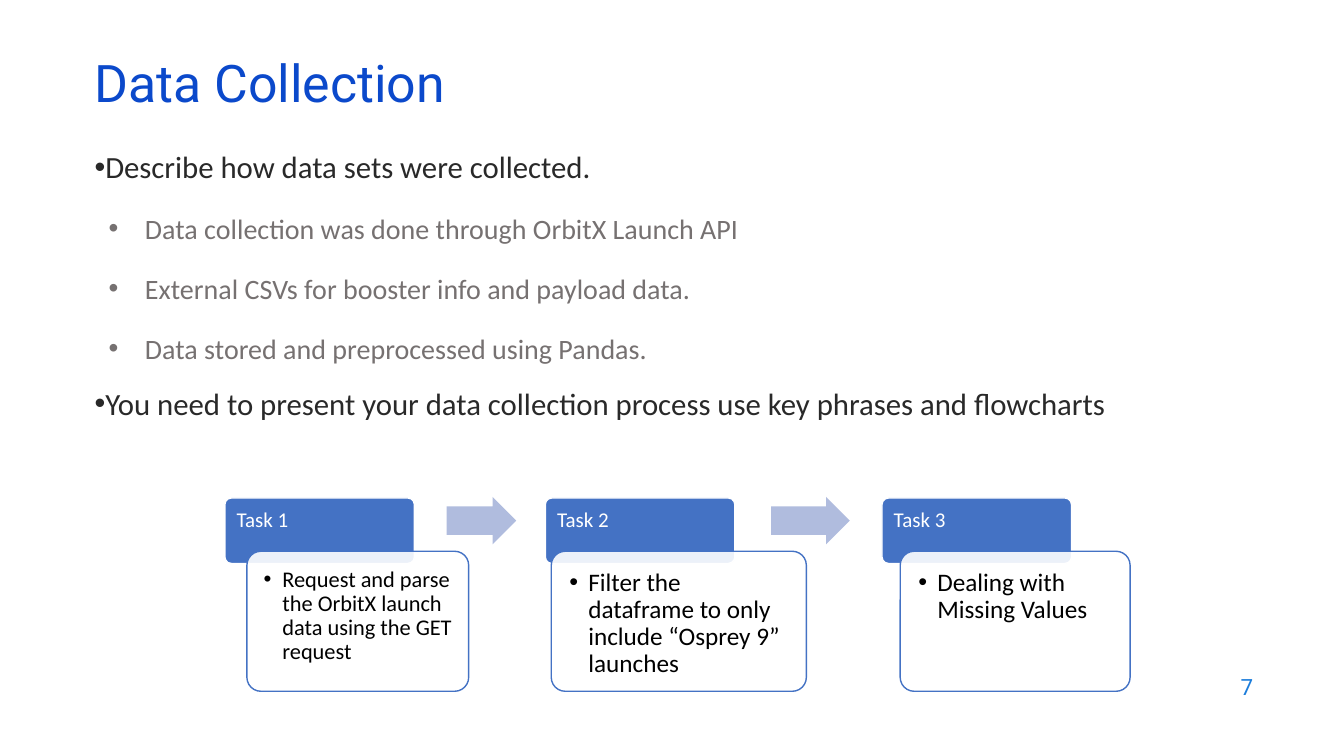
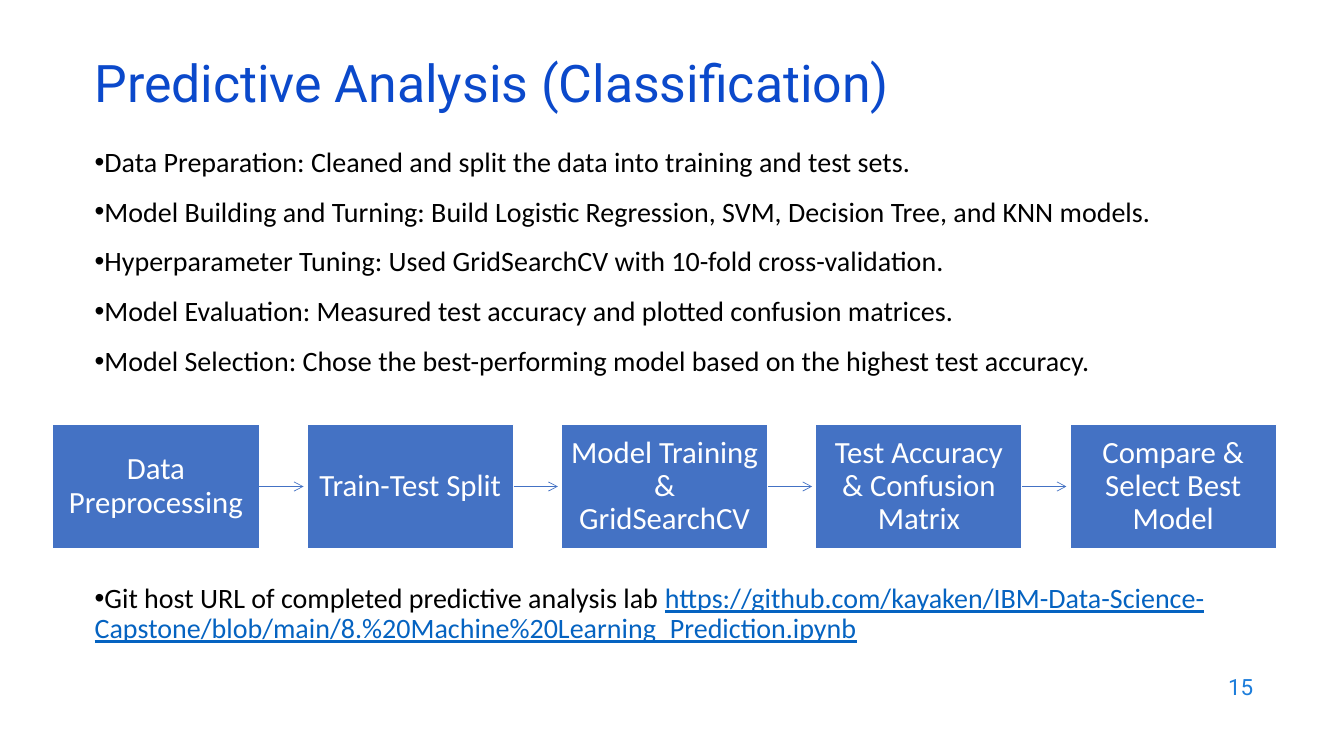
from dataclasses import dataclass

from lxml import etree
from pptx import Presentation
from pptx.dml.color import RGBColor
from pptx.enum.shapes import MSO_CONNECTOR, MSO_SHAPE
from pptx.enum.text import MSO_ANCHOR, PP_ALIGN
from pptx.oxml.ns import qn
from pptx.util import Pt

ROUNDED, RECTANGLE = MSO_SHAPE.ROUNDED_RECTANGLE, MSO_SHAPE.RECTANGLE
RIGHT_ARROW, STRAIGHT = MSO_SHAPE.RIGHT_ARROW, MSO_CONNECTOR.STRAIGHT
TOP, MIDDLE = MSO_ANCHOR.TOP, MSO_ANCHOR.MIDDLE
LEFT, CENTER, RIGHT = PP_ALIGN.LEFT, PP_ALIGN.CENTER, PP_ALIGN.RIGHT

TITLE_FONT, BODY_FONT = "Roboto", "Calibri"
TITLE_BLUE, PAGE_BLUE, LINK_BLUE = "0B49CB", "1C7DDB", "0563C1"
BOX_BLUE, ARROW_BLUE = "4472C4", "B0BCDE"
BLACK, DARK, GREY, WHITE = "000000", "292929", "767171", "FFFFFF"

BODY_LEFT, BODY_TOP = 60.5, 102.24
DEFAULT_INSETS = (7.2, 3.6, 7.2, 3.6)


@dataclass(frozen=True)
class Box:
    left: float
    top: float
    width: float
    height: float

    def lengths(self) -> tuple:
        return Pt(self.left), Pt(self.top), Pt(self.width), Pt(self.height)


@dataclass(frozen=True)
class Style:
    size: float
    color: str
    font: str = BODY_FONT
    spacing: float = 1.0
    before: float = 0
    align: PP_ALIGN = LEFT
    bullet: bool = False
    margin: float = 0
    hanging: float = 0


@dataclass(frozen=True)
class Line:
    text: str
    style: Style
    url: str = ""


@dataclass(frozen=True)
class Task:
    heading_left: float
    card_left: float
    card_width: float
    detail: str
    detail_size: float


@dataclass(frozen=True)
class BlockArrow:
    left: float
    width: float


TITLE = Style(37, TITLE_BLUE, TITLE_FONT, spacing=0.7)
PAGE_NUMBER = Style(16, PAGE_BLUE, TITLE_FONT, align=RIGHT)
TOPIC = Style(22, DARK, before=14, bullet=True)
DETAIL = Style(20, GREY, spacing=1.2, before=14, bullet=True, margin=36, hanging=26)
STEP_NOTE = Style(20, BLACK, spacing=0.9, before=14, bullet=True)
TASK_HEADING = Style(15, WHITE, spacing=0.9)
STEP = Style(22, WHITE, spacing=0.9, align=CENTER)

COLLECTION_LINES = [
    Line("Describe how data sets were collected.", TOPIC),
    Line("Data collection was done through OrbitX Launch API", DETAIL),
    Line("External CSVs for booster info and payload data.", DETAIL),
    Line("Data stored and preprocessed using Pandas.", DETAIL),
    Line("You need to present your data collection process use key phrases "
         "and flowcharts", TOPIC),
]
TASKS = [
    Task(160.6, 176.4, 158.4,
         "Request and parse the OrbitX launch data using the GET request", 16),
    Task(389.5, 393.8, 182.2,
         "Filter the dataframe to only include “Osprey 9” launches", 18),
    Task(630, 643, 164.2, "Dealing with Missing Values", 18),
]
TASK_ARROWS = [BlockArrow(319, 49.7), BlockArrow(550.8, 56.2)]

ANALYSIS_NOTES = [
    "Data Preparation: Cleaned and split the data into training and test sets.",
    "Model Building and Turning: Build Logistic Regression, SVM, Decision Tree, "
    "and KNN models.",
    "Hyperparameter Tuning: Used GridSearchCV with 10-fold cross-validation.",
    "Model Evaluation: Measured test accuracy and plotted confusion matrices.",
    "Model Selection: Chose the best-performing model based on the highest "
    "test accuracy.",
]
LAB_LINK = Line(
    "Git host URL of completed predictive analysis lab ", STEP_NOTE,
    "https://github.com/kayaken/IBM-Data-Science-Capstone/blob/main/"
    "8.%20Machine%20Learning_Prediction.ipynb")
STEPS = [
    "Data Preprocessing",
    "Train-Test Split",
    "Model Training & GridSearchCV",
    "Test Accuracy & Confusion Matrix",
    "Compare & Select Best Model",
]


def rgb(color: str) -> RGBColor:
    return RGBColor.from_string(color)


def add_bullet(paragraph, style: Style) -> None:
    properties = paragraph._p.get_or_add_pPr()
    properties.set("marL", str(Pt(style.margin)))
    properties.set("indent", str(Pt(-style.hanging)))
    etree.SubElement(properties, qn("a:buFont"), typeface="Arial")
    etree.SubElement(properties, qn("a:buChar"), char="•")


def write(shape, lines: list[Line], anchor=TOP, insets=DEFAULT_INSETS) -> None:
    """Fill a shape with styled paragraphs; insets run left, top, right, bottom."""
    frame = shape.text_frame
    frame.word_wrap = True
    frame.vertical_anchor = anchor
    (frame.margin_left, frame.margin_top,
     frame.margin_right, frame.margin_bottom) = map(Pt, insets)
    for index, line in enumerate(lines):
        style = line.style
        paragraph = frame.add_paragraph() if index else frame.paragraphs[0]
        if style.bullet:
            add_bullet(paragraph, style)
        paragraph.alignment = style.align
        paragraph.line_spacing = style.spacing
        paragraph.space_before = Pt(style.before if index else 0)
        paragraph.font.size = Pt(style.size)
        paragraph.font.name = style.font
        paragraph.font.color.rgb = rgb(style.color)
        paragraph.add_run().text = line.text
        if line.url:
            link = paragraph.add_run()
            link.text = line.url
            link.font.underline = True
            link.font.color.rgb = rgb(LINK_BLUE)


def add_text(slide, box: Box, lines: list[Line], anchor=TOP) -> None:
    write(slide.shapes.add_textbox(*box.lengths()), lines, anchor)


def add_block(slide, kind, box: Box, fill: str, outline: str = "",
              adjustments: tuple = (), opacity: int = 100):
    block = slide.shapes.add_shape(kind, *box.lengths())
    block.shadow.inherit = False
    block.fill.solid()
    block.fill.fore_color.rgb = rgb(fill)
    if opacity < 100:
        color = block.fill._xPr.find(qn("a:solidFill")).find(qn("a:srgbClr"))
        etree.SubElement(color, qn("a:alpha"), val=str(opacity * 1000))
    if outline:
        block.line.color.rgb = rgb(outline)
        block.line.width = Pt(1)
    else:
        block.line.fill.background()
    for index, value in enumerate(adjustments):
        block.adjustments[index] = value
    return block


def add_arrow(slide, start: float, end: float, y: float) -> None:
    arrow = slide.shapes.add_connector(STRAIGHT, Pt(start), Pt(y), Pt(end), Pt(y))
    arrow.line.color.rgb = rgb(BOX_BLUE)
    arrow.line.width = Pt(0.5)
    etree.SubElement(arrow.line._get_or_add_ln(), qn("a:tailEnd"), type="arrow")
    etree.SubElement(arrow._element.spPr, qn("a:effectLst"))


def add_slide(deck, title: str, number: int):
    """Add a blank slide with the shared title and page number."""
    slide = deck.slides.add_slide(deck.slide_layouts[6])
    add_text(slide, Box(686.2, 474.5, 216, 31.7),
             [Line(str(number), PAGE_NUMBER)], MIDDLE)
    add_text(slide, Box(BODY_LEFT, 42.5, 828, 43.2), [Line(title, TITLE)], MIDDLE)
    return slide


def add_task(slide, number: int, task: Task) -> None:
    heading = add_block(slide, ROUNDED, Box(task.heading_left, 355.7, 135.4, 46.8),
                        BOX_BLUE, WHITE, (0.1,))
    write(heading, [Line(f"Task {number}", TASK_HEADING)], insets=(7, 7, 7, 3))
    card = add_block(slide, ROUNDED, Box(task.card_left, 393.8, task.card_width, 100),
                     WHITE, BOX_BLUE, (0.1,), opacity=90)
    style = Style(task.detail_size, BLACK, spacing=0.9, bullet=True,
                  margin=13.5, hanging=13.5)
    write(card, [Line(task.detail, style)], insets=(0.56 * task.detail_size,) * 4)


def build_collection(deck) -> None:
    slide = add_slide(deck, "Data Collection", 7)
    add_text(slide, Box(BODY_LEFT, BODY_TOP, 828, 220), COLLECTION_LINES)
    for number, task in enumerate(TASKS, start=1):
        add_task(slide, number, task)
    for arrow in TASK_ARROWS:
        add_block(slide, RIGHT_ARROW, Box(arrow.left, 355, arrow.width, 33.8),
                  ARROW_BLUE, adjustments=(0.6, 0.5))


def build_analysis(deck) -> None:
    slide = add_slide(deck, "Predictive Analysis (Classification)", 15)
    add_text(slide, Box(BODY_LEFT, BODY_TOP, 841.7, 185),
             [Line(note, STEP_NOTE) for note in ANALYSIS_NOTES])
    add_text(slide, Box(BODY_LEFT, 414, 841.7, 55), [LAB_LINK])
    first_left, pitch, top, width, height = 37.6, 181.65, 303.2, 147.6, 88.6
    for index, step in enumerate(STEPS):
        left = first_left + index * pitch
        block = add_block(slide, RECTANGLE, Box(left, top, width, height),
                          BOX_BLUE, WHITE)
        write(block, [Line(step, STEP)], MIDDLE, (7.2, 7.9, 7.2, 7.9))
        if index < len(STEPS) - 1:
            right = left + width
            add_arrow(slide, right, right + 31.6, top + height / 2)


def main() -> None:
    deck = Presentation()
    deck.slide_width, deck.slide_height = Pt(960), Pt(540)
    build_collection(deck)
    build_analysis(deck)
    deck.save("out.pptx")


if __name__ == "__main__":
    main()
